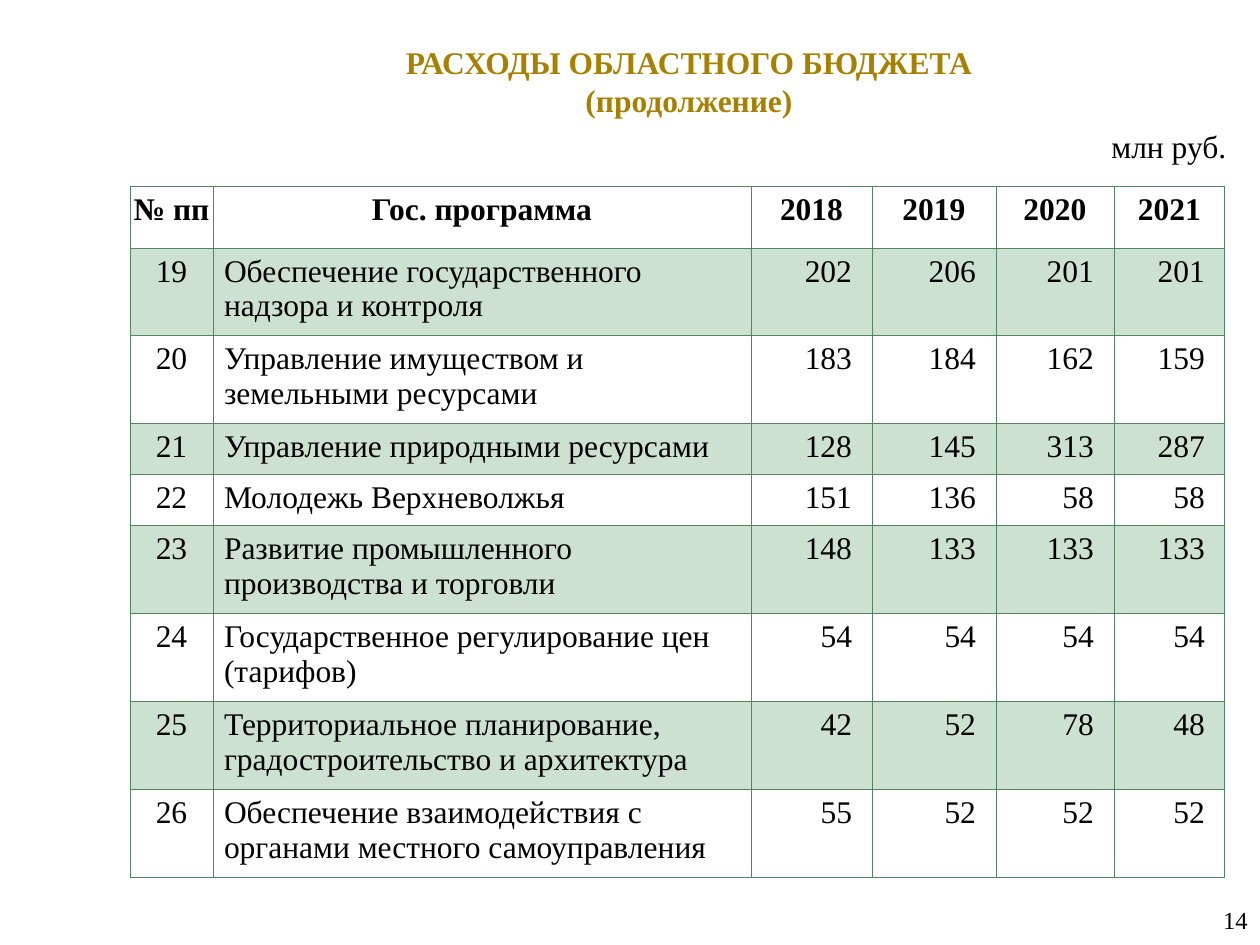
from dataclasses import dataclass

from lxml.etree import SubElement
from pptx import Presentation
from pptx.dml.color import RGBColor
from pptx.enum.text import MSO_ANCHOR, PP_ALIGN
from pptx.oxml.ns import qn
from pptx.util import Emu, Pt

PX = 914400 // 126
COLORS = {"title": "A88000", "text": "000000", "grid": "528460", "band": "CDE1D2"}
FONT = "Times New Roman"
COL_WIDTHS = (83, 538, 121, 124, 118, 111)
HEADER_HEIGHT, ONE_LINE, TWO_LINES = 62, 51, 88
HEADERS = ("№ пп", "Гос. программа", "2018", "2019", "2020", "2021")
FIRST_NUMBER = 19


@dataclass(frozen=True)
class Label:
    x: int
    y: int
    w: int
    h: int
    lines: tuple[str, ...]
    align: PP_ALIGN
    size: int = 18
    color: str = "text"
    bold: bool = False
    anchor: MSO_ANCHOR = MSO_ANCHOR.TOP


@dataclass(frozen=True)
class Program:
    name: str
    amounts: tuple[int, int, int, int]
    height: int = TWO_LINES


LABELS = (
    Label(168, 37, 1042, 89, ("РАСХОДЫ ОБЛАСТНОГО БЮДЖЕТА", "(продолжение)"),
          PP_ALIGN.CENTER, color="title", bold=True),
    Label(976, 895, 284, 50, ("14",), PP_ALIGN.RIGHT, size=14, anchor=MSO_ANCHOR.MIDDLE),
    Label(1099, 121, 147, 50, ("млн руб.",), PP_ALIGN.LEFT),
)
PROGRAMS = (
    Program("Обеспечение государственного надзора и контроля", (202, 206, 201, 201)),
    Program("Управление имуществом и земельными ресурсами", (183, 184, 162, 159)),
    Program("Управление природными ресурсами", (128, 145, 313, 287), ONE_LINE),
    Program("Молодежь Верхневолжья", (151, 136, 58, 58), ONE_LINE),
    Program("Развитие промышленного производства и торговли", (148, 133, 133, 133)),
    Program("Государственное регулирование цен (тарифов)", (54, 54, 54, 54)),
    Program("Территориальное планирование, градостроительство и архитектура", (42, 52, 78, 48)),
    Program("Обеспечение взаимодействия с органами местного самоуправления", (55, 52, 52, 52)),
)


def px(n: int) -> Emu:
    return Emu(n * PX)


def apply(target, values: dict) -> None:
    for name, value in values.items():
        setattr(target, name, value)


def write(p, text: str, align: PP_ALIGN, size: int = 18, color: str = "text",
          bold: bool = False) -> None:
    p.alignment = align
    r = p.add_run()
    r.text = text
    apply(r.font, {"name": FONT, "size": Pt(size), "bold": bold})
    r.font.color.rgb = RGBColor.from_string(COLORS[color])


def draw_label(s, label: Label) -> None:
    sp = s.shapes.add_textbox(px(label.x), px(label.y), px(label.w), px(label.h))
    tf = sp.text_frame
    apply(tf, {"word_wrap": True, "vertical_anchor": label.anchor})
    for i, line in enumerate(label.lines):
        p = tf.add_paragraph() if i else tf.paragraphs[0]
        write(p, line, label.align, label.size, label.color, label.bold)


def add_borders(cell) -> None:
    tc_pr = cell._tc.get_or_add_tcPr()
    for side in ("a:lnL", "a:lnR", "a:lnT", "a:lnB"):
        ln = SubElement(tc_pr, qn(side), w=str(Pt(0.5)))
        fill = SubElement(ln, qn("a:solidFill"))
        SubElement(fill, qn("a:srgbClr"), val=COLORS["grid"])


def draw_cell(cell, text: str, align: PP_ALIGN, bold: bool, banded: bool) -> None:
    right = 20 if align == PP_ALIGN.RIGHT else 1
    apply(cell, {"margin_left": px(1), "margin_right": px(right),
                 "margin_top": px(6), "margin_bottom": px(6)})
    add_borders(cell)
    if banded:
        cell.fill.solid()
        cell.fill.fore_color.rgb = RGBColor.from_string(COLORS["band"])
    else:
        cell.fill.background()
    p = cell.text_frame.paragraphs[0]
    if align == PP_ALIGN.LEFT:
        p._p.get_or_add_pPr().set("marL", str(px(10)))
    write(p, text, align, bold=bold)


def draw_table(s, x: int, y: int) -> None:
    heights = [HEADER_HEIGHT] + [program.height for program in PROGRAMS]
    table = s.shapes.add_table(len(heights), len(COL_WIDTHS), px(x), px(y),
                               px(sum(COL_WIDTHS)), px(sum(heights))).table
    apply(table, {"first_row": False, "horz_banding": False})
    for column, width in zip(table.columns, COL_WIDTHS):
        column.width = px(width)
    for row, height in zip(table.rows, heights):
        row.height = px(height)

    for col, header in enumerate(HEADERS):
        draw_cell(table.cell(0, col), header, PP_ALIGN.CENTER, True, False)
    aligns = [PP_ALIGN.CENTER, PP_ALIGN.LEFT] + [PP_ALIGN.RIGHT] * 4
    for i, program in enumerate(PROGRAMS):
        values = (FIRST_NUMBER + i, program.name, *program.amounts)
        for col, (value, align) in enumerate(zip(values, aligns)):
            draw_cell(table.cell(i + 1, col), str(value), align, False, i % 2 == 0)


def main() -> None:
    prs = Presentation()
    apply(prs, {"slide_width": px(1260), "slide_height": px(945)})
    s = prs.slides.add_slide(prs.slide_layouts[6])
    for label in LABELS:
        draw_label(s, label)
    draw_table(s, 130, 186)
    prs.save("out.pptx")


if __name__ == "__main__":
    main()
